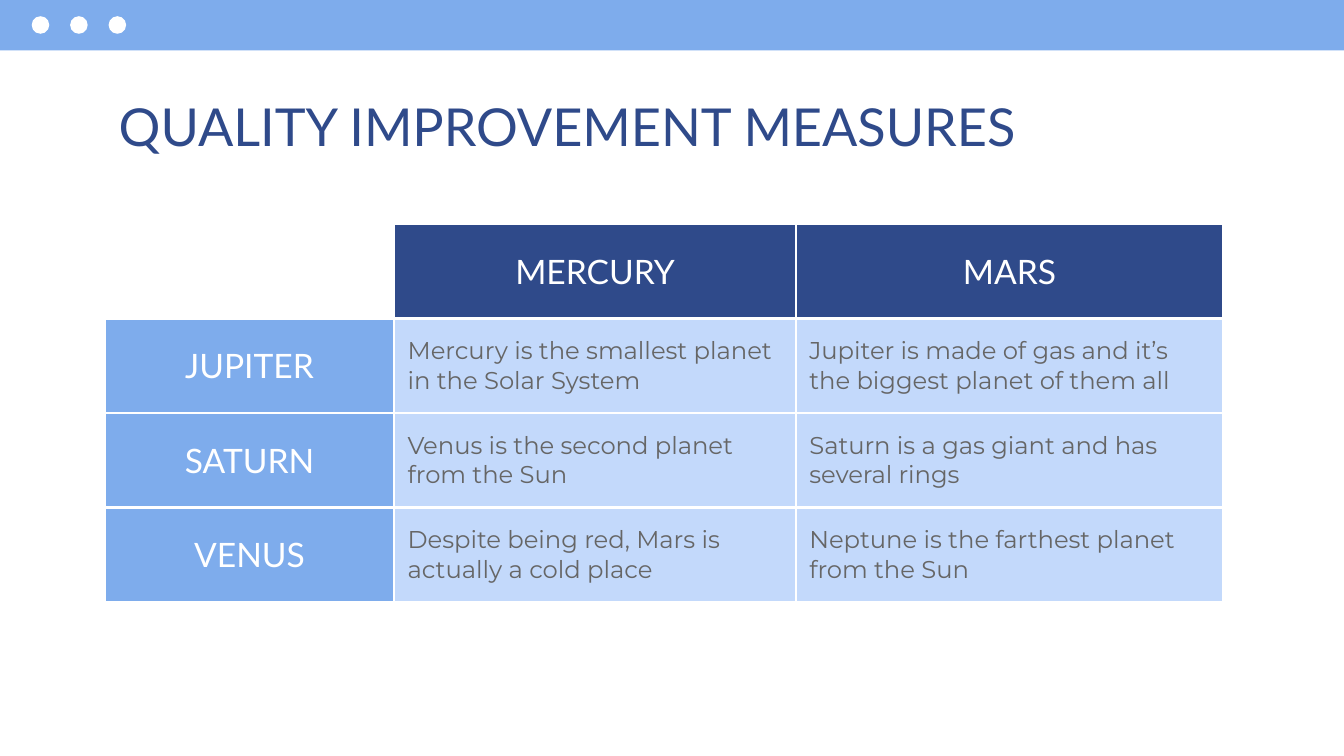
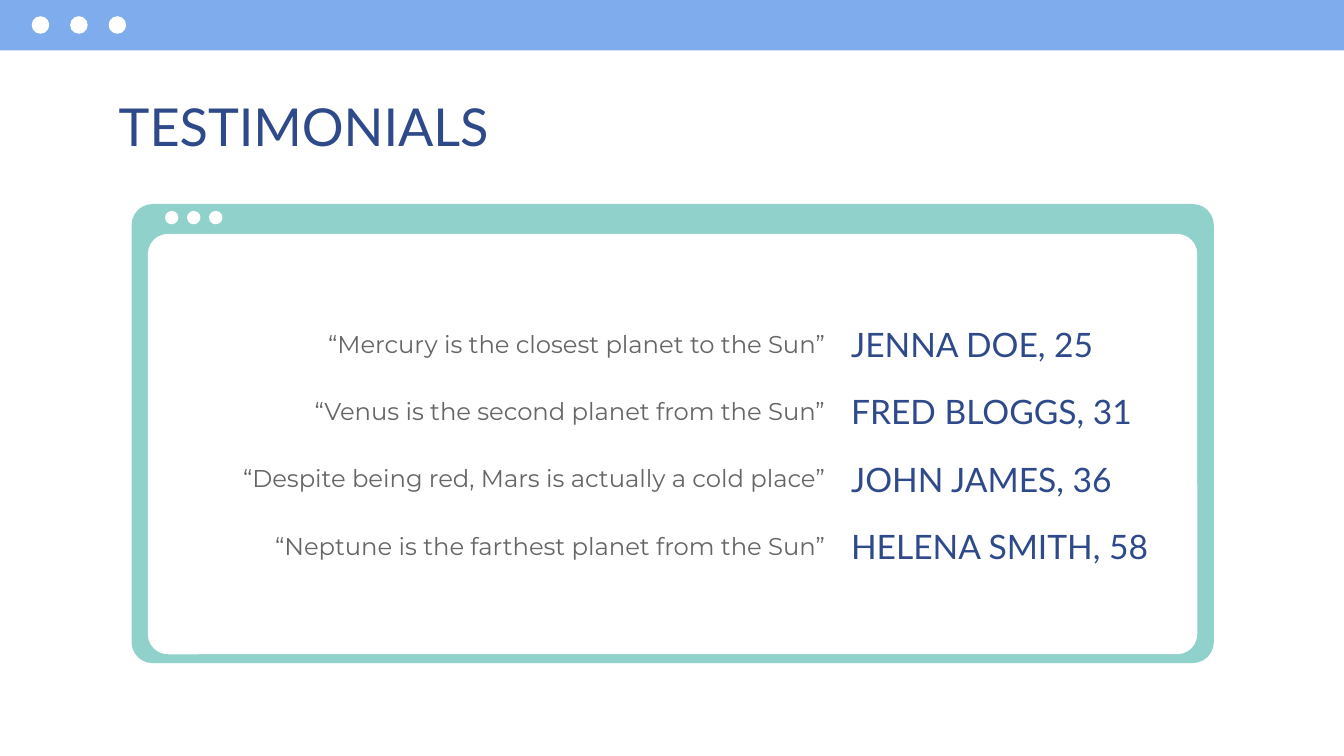
"""Build a comparison table slide and a testimonials slide with a shared window-style look."""
from lxml.etree import fromstring
from pptx import Presentation
from pptx.dml.color import RGBColor
from pptx.enum.shapes import MSO_SHAPE as Shape
from pptx.enum.text import MSO_ANCHOR as Anchor, MSO_AUTO_SIZE as AutoSize, PP_ALIGN as Align
from pptx.util import Pt

NAVY = RGBColor(0x2F, 0x4A, 0x8A)
BLUE = RGBColor(0x7E, 0xAC, 0xEC)
PALE = RGBColor(0xC3, 0xD9, 0xFB)
TEAL = RGBColor(0x90, 0xD1, 0xCB)
GRAY = RGBColor(0x66, 0x66, 0x66)
WHITE = RGBColor(0xFF, 0xFF, 0xFF)
HEADING = {"font": "Lato", "size": 18}
BODY = {"font": "Montserrat", "size": 13, "color": GRAY}
INSET = Pt(7.2)
BORDER = (
    '<a:{side} xmlns:a="http://schemas.openxmlformats.org/drawingml/2006/main" w="19050">'
    '<a:solidFill><a:srgbClr val="{color}"/></a:solidFill></a:{side}>'
)


def add_block(page, kind, left, top, width, height, color):
    block = page.shapes.add_shape(kind, Pt(left), Pt(top), Pt(width), Pt(height))
    block.shadow.inherit = False
    block.fill.solid()
    block.fill.fore_color.rgb = color
    block.line.fill.background()
    return block


def write(box, text, font, size, color, align=Align.LEFT, anchor=Anchor.MIDDLE, after=0):
    box.margin_left = box.margin_right = box.margin_top = box.margin_bottom = INSET
    box.vertical_anchor = anchor
    para = getattr(box, "text_frame", box).paragraphs[0]
    para.alignment = align
    para.space_before = Pt(0)
    para.space_after = Pt(after)
    span = para.add_run()
    span.text = text
    span.font.name = font
    span.font.size = Pt(size)
    span.font.color.rgb = color


deck = Presentation()
deck.slide_width, deck.slide_height = Pt(720), Pt(405)

pages = []
for heading in ("QUALITY IMPROVEMENT MEASURES", "TESTIMONIALS"):
    page = deck.slides.add_slide(deck.slide_layouts[5])
    add_block(page, Shape.RECTANGLE, 0, 0, 720, 27, BLUE)
    for index in range(3):
        add_block(page, Shape.OVAL, 17 + 20.6 * index, 8.7, 9.4, 9.4, WHITE)
    title = page.shapes.title
    title.left, title.top, title.width, title.height = Pt(56.4), Pt(43.2), Pt(607.6), Pt(36.8)
    title.text_frame.auto_size = AutoSize.NONE
    write(title.text_frame, heading, font="Lato", size=28, color=NAVY, anchor=Anchor.TOP)
    pages.append(page)
measures_page, testimonials_page = pages

measures = [
    ("", "MERCURY", "MARS"),
    ("JUPITER", "Mercury is the smallest planet in the Solar System",
     "Jupiter is made of gas and it’s the biggest planet of them all"),
    ("SATURN", "Venus is the second planet from the Sun",
     "Saturn is a gas giant and has several rings"),
    ("VENUS", "Despite being red, Mars is actually a cold place",
     "Neptune is the farthest planet from the Sun"),
]
widths = (155, 215.2, 228.8)
table = measures_page.shapes.add_table(
    4, 3, Pt(56.2), Pt(120), Pt(sum(widths)), Pt(4 * 50.6)).table
table.first_row = table.horz_banding = False
for column, width in zip(table.columns, widths):
    column.width = Pt(width)
for row_index, texts in enumerate(measures):
    table.rows[row_index].height = Pt(50.6)
    for column_index, text in enumerate(texts):
        cell = table.cell(row_index, column_index)
        if not text:
            cell.fill.background()
        else:
            is_label = row_index == 0 or column_index == 0
            cell.fill.solid()
            cell.fill.fore_color.rgb = NAVY if row_index == 0 else BLUE if is_label else PALE
            if is_label:
                write(cell, text, **HEADING, color=WHITE, align=Align.CENTER)
            else:
                write(cell, text, **BODY)
        properties = cell._tc.get_or_add_tcPr()
        for position, side in enumerate(("lnL", "lnR", "lnT", "lnB")):
            properties.insert(position, fromstring(BORDER.format(side=side, color=WHITE)))

window = add_block(testimonials_page, Shape.ROUNDED_RECTANGLE, 70.5, 109.3, 579.8, 246, TEAL)
window.adjustments[0] = 0.046
screen = add_block(testimonials_page, Shape.ROUNDED_RECTANGLE, 79.2, 125.3, 562.2, 225.2, WHITE)
screen.adjustments[0] = 0.048
for index in range(3):
    add_block(testimonials_page, Shape.OVAL, 88.4 + 11.8 * index, 113, 7.2, 7.2, WHITE)

testimonials = [
    ("“Mercury is the closest planet to the Sun”", "JENNA DOE, 25"),
    ("“Venus is the second planet from the Sun”", "FRED BLOGGS, 31"),
    ("“Despite being red, Mars is actually a cold place”", "JOHN JAMES, 36"),
    ("“Neptune is the farthest planet from the Sun”", "HELENA SMITH, 58"),
]
table = testimonials_page.shapes.add_table(
    4, 3, Pt(97.6), Pt(166.6), Pt(3 * 175.6), Pt(4 * 30.2)).table
table.first_row = table.horz_banding = False
for column in table.columns:
    column.width = Pt(175.6)
for row_index, (quote, person) in enumerate(testimonials):
    table.rows[row_index].height = Pt(30.2)
    for column_index in range(3):
        table.cell(row_index, column_index).fill.background()
    quote_cell = table.cell(row_index, 0)
    quote_cell.merge(table.cell(row_index, 1))
    write(quote_cell, quote, **BODY, align=Align.RIGHT, after=12)
    write(table.cell(row_index, 2), person, **HEADING, color=NAVY)

deck.save("out.pptx")
